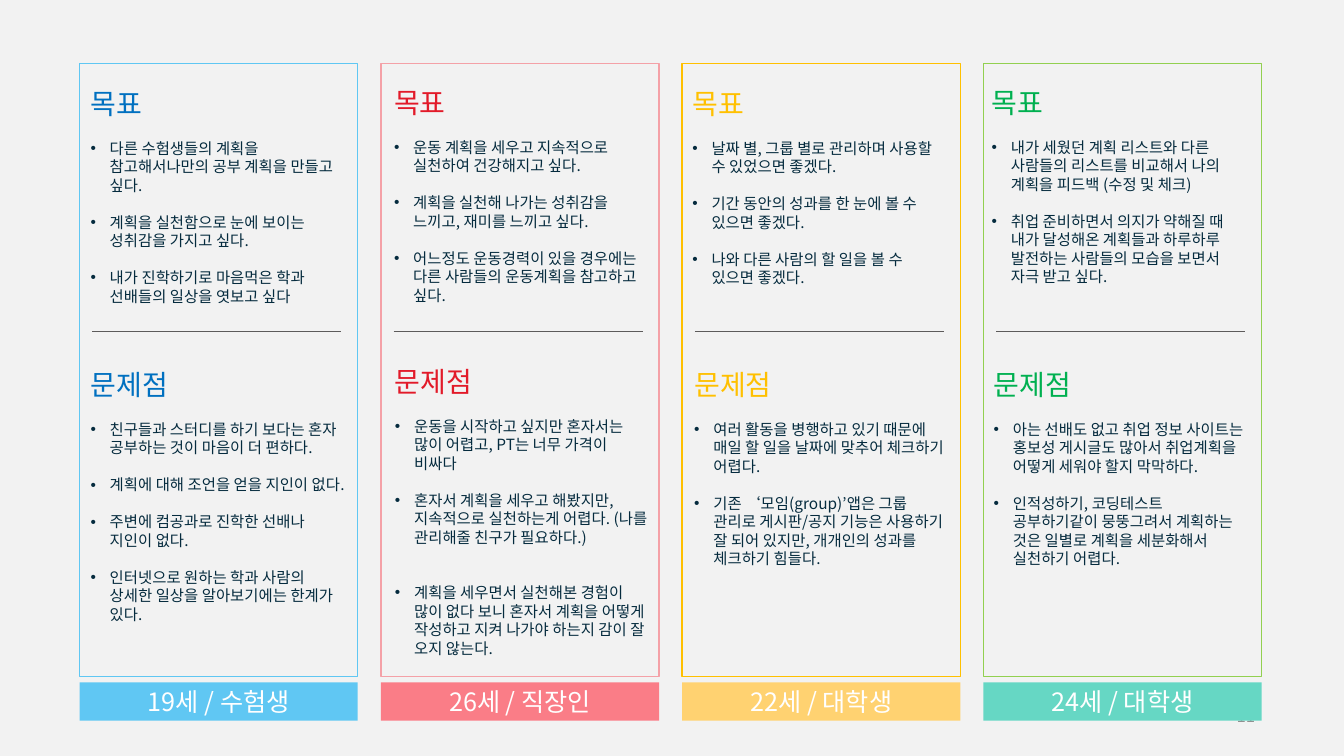
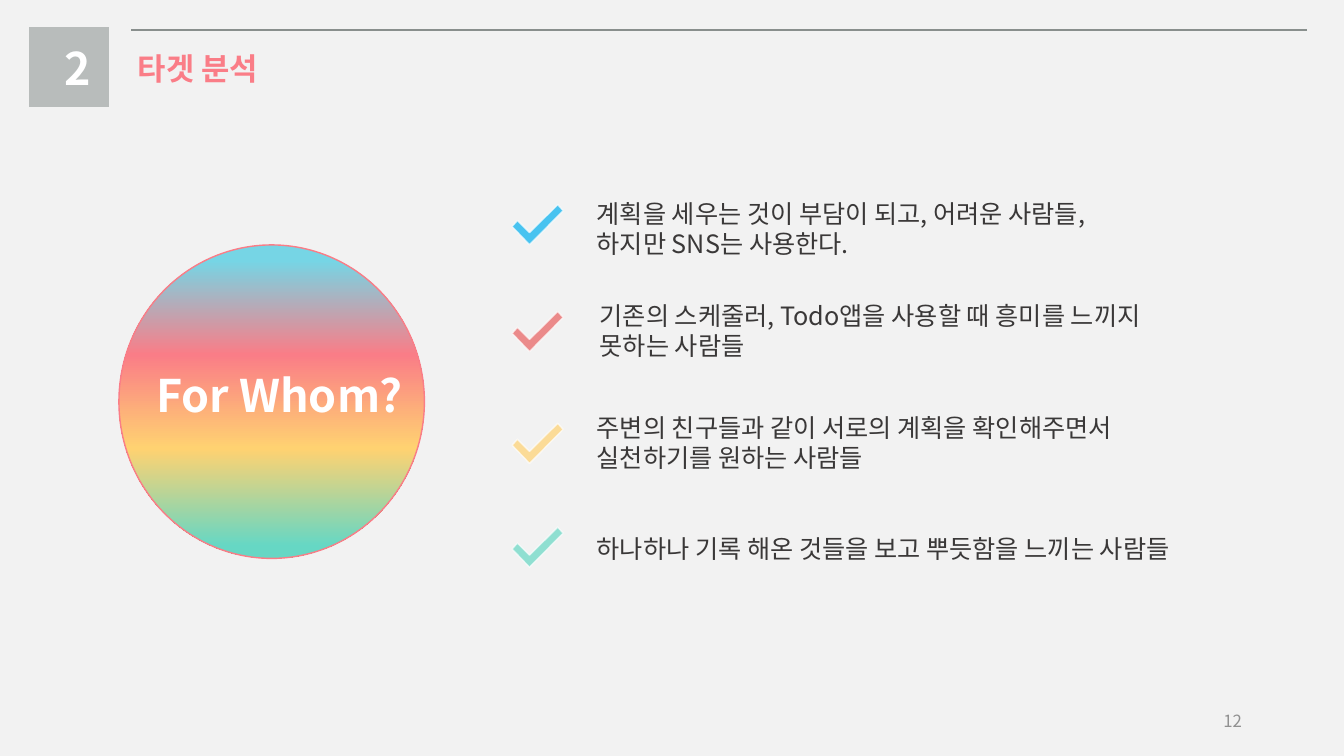
from dataclasses import dataclass

from lxml.etree import SubElement
from pptx import Presentation
from pptx.dml.color import RGBColor
from pptx.enum.shapes import MSO_CONNECTOR, MSO_SHAPE
from pptx.enum.text import MSO_ANCHOR, PP_ALIGN
from pptx.oxml import parse_xml
from pptx.oxml.ns import nsdecls, qn
from pptx.util import Inches, Pt


@dataclass(frozen=True)
class Theme:
    font: str = "Noto Sans CJK KR"
    paper: str = "F2F2F2"
    white: str = "FFFFFF"
    body: str = "052B3E"
    dark: str = "3A3838"
    number: str = "919191"
    divider: str = "5D5B5B"
    rule: str = "898F8D"
    badge: str = "B8BCBB"
    sky: str = "60C7F3"
    coral: str = "FA7D87"
    yellow: str = "FFD271"
    mint: str = "66D7C4"
    tiny: float = 11
    small: float = 12
    large: float = 18
    heading: float = 20
    title: float = 22
    display: float = 32


theme = Theme()
deck = Presentation()
deck.slide_width, deck.slide_height = Inches(13.333), Inches(7.5)


def share(*percents):
    sides = (deck.slide_width, deck.slide_height) * 2
    return [int(side * percent / 100) for side, percent in zip(sides, percents)]


def write(box, lines, size, color, bold=False, align=PP_ALIGN.LEFT, **frame_format):
    frame = box.text_frame
    for name, value in {"word_wrap": True, **frame_format}.items():
        setattr(frame, name, value)
    for index, line in enumerate(lines):
        para = frame.paragraphs[0] if index == 0 else frame.add_paragraph()
        para.alignment = align
        span = para.add_run()
        span.text = line
        for name, value in {"name": theme.font, "size": Pt(size), "bold": bold}.items():
            setattr(span.font, name, value)
        span.font.color.rgb = RGBColor.from_string(color)
        SubElement(span.font._element, qn("a:ea"), typeface=theme.font)
    return frame.paragraphs


personas = [
    {
        "label": "19세 / 수험생", "bar": theme.sky, "frame": theme.sky, "accent": "0070C0",
        "목표": (0.08, 8.8, [
            "다른 수험생들의 계획을 참고해서나만의 공부 계획을 만들고 싶다.",
            "계획을 실천함으로 눈에 보이는 성취감을 가지고 싶다.",
            "내가 진학하기로 마음먹은 학과 선배들의 일상을 엿보고 싶다",
        ]),
        "문제점": (0.08, 46, [
            "친구들과 스터디를 하기 보다는 혼자 공부하는 것이 마음이 더 편하다.",
            "계획에 대해 조언을 얻을 지인이 없다.",
            "주변에 컴공과로 진학한 선배나 지인이 없다.",
            "인터넷으로 원하는 학과 사람의 상세한 일상을 알아보기에는 한계가 있다.",
        ]),
    },
    {
        "label": "26세 / 직장인", "bar": theme.coral, "frame": "F4A1A7", "accent": "E21A29",
        "목표": (0.24, 8.67, [
            "운동 계획을 세우고 지속적으로 실천하여 건강해지고 싶다.",
            "계획을 실천해 나가는 성취감을 느끼고, 재미를 느끼고 싶다.",
            "어느정도 운동경력이 있을 경우에는 다른 사람들의 운동계획을 참고하고 싶다.",
        ]),
        "문제점": (0.31, 45.6, [
            "운동을 시작하고 싶지만 혼자서는 많이 어렵고, PT는 너무 가격이 비싸다",
            "혼자서 계획을 세우고 해봤지만, 지속적으로 실천하는게 어렵다. (나를 관리해줄 친구가 필요하다.)",
            "계획을 세우면서 실천해본 경험이 많이 없다 보니 혼자서 계획을 어떻게 작성하고 지켜 나가야 하는지 감이 잘 오지 않는다.",
        ]),
        "last_gap": 26.4,
    },
    {
        "label": "22세 / 대학생", "bar": theme.yellow, "frame": "FFC000", "accent": "FFC000",
        "목표": (0.02, 8.8, [
            "날짜 별, 그룹 별로 관리하며 사용할 수 있었으면 좋겠다.",
            "기간 동안의 성과를 한 눈에 볼 수 있으면 좋겠다.",
            "나와 다른 사람의 할 일을 볼 수 있으면 좋겠다.",
        ]),
        "문제점": (0.16, 46, [
            "여러 활동을 병행하고 있기 때문에 매일 할 일을 날짜에 맞추어 체크하기 어렵다.",
            "기존 ‘모임(group)’앱은 그룹 관리로 게시판/공지 기능은 사용하기 잘 되어 있지만, 개개인의 성과를 체크하기 힘들다.",
        ]),
    },
    {
        "label": "24세 / 대학생", "bar": theme.mint, "frame": "92D050", "accent": "00B050",
        "목표": (-0.13, 8.67, [
            "내가 세웠던 계획 리스트와 다른 사람들의 리스트를 비교해서 나의 계획을 피드백 (수정 및 체크)",
            "취업 준비하면서 의지가 약해질 때 내가 달성해온 계획들과 하루하루 발전하는 사람들의 모습을 보면서 자극 받고 싶다.",
        ]),
        "문제점": (0.02, 46, [
            "아는 선배도 없고 취업 정보 사이트는 홍보성 게시글도 많아서 취업계획을 어떻게 세워야 할지 막막하다.",
            "인적성하기, 코딩테스트 공부하기같이 뭉뚱그려서 계획하는 것은 일별로 계획을 세분화해서 실천하기 어렵다.",
        ]),
    },
]
first_column, column_step, column_width = 5.92, 22.42, 20.7
columns = [first_column + column_step * index for index in range(len(personas))]
section_heights = {"목표": 33.6, "문제점": 42}
section_margins = {"margin_top": Inches(0.2)}
tight_margins = {f"margin_{side}": Inches(0.05) for side in ("left", "top", "right", "bottom")}
bullet_indent = Inches(0.19)

pages = []
for number, left, top in [("11", 71.63, 92), ("12", 70.65, 92.67)]:
    page = deck.slides.add_slide(deck.slide_layouts[6])
    page.background.fill.solid()
    page.background.fill.fore_color.rgb = RGBColor.from_string(theme.paper)
    box = page.shapes.add_textbox(*share(left, top, 22.5, 5.33))
    write(box, [number], theme.small, theme.number, align=PP_ALIGN.RIGHT,
          vertical_anchor=MSO_ANCHOR.MIDDLE)
    pages.append(page)
persona_page, target_page = pages

rules = [(persona_page, left + 0.95, left + 19.48, 43.87, theme.divider, 0.5) for left in columns]
rules.append((target_page, 9.75, 97.28, 4, theme.rule, 1.5))
for page, left, right, level, color, width in rules:
    rule = page.shapes.add_connector(MSO_CONNECTOR.STRAIGHT, *share(left, level, right, level))
    rule.line.color.rgb = RGBColor.from_string(color)
    rule.line.width = Pt(width)
    SubElement(rule._element.spPr, qn("a:effectLst"))

for left, persona in zip(columns, personas):
    for heading, height in section_heights.items():
        nudge, top, wishes = persona[heading]
        box = persona_page.shapes.add_textbox(*share(left + nudge, top, 20.48, height))
        paras = write(box, [heading, *wishes], theme.tiny, theme.body, **section_margins)
        title = paras[0].runs[0].font
        title.size = Pt(theme.heading)
        title.color.rgb = RGBColor.from_string(persona["accent"])
        for para in paras[1:]:
            para.space_before = Pt(13.2)
            layout = para._p.get_or_add_pPr()
            layout.set("marL", str(bullet_indent))
            layout.set("indent", str(-bullet_indent))
            SubElement(layout, qn("a:buFont"), typeface="Arial")
            SubElement(layout, qn("a:buChar"), char="•")
        if heading == "문제점" and "last_gap" in persona:
            paras[-1].space_before = Pt(persona["last_gap"])

    frame = persona_page.shapes.add_shape(
        MSO_SHAPE.RECTANGLE, *share(left, 8.4, column_width, 81.07))
    frame.shadow.inherit = False
    frame.fill.background()
    frame.line.color.rgb = RGBColor.from_string(persona["frame"])
    frame.line.width = Pt(1)

bars = [(persona_page, (left, 90.27, column_width, 5.07), persona["bar"], persona["label"])
        for left, persona in zip(columns, personas)]
bars.append((target_page, (2.18, 3.6, 5.93, 10.53), theme.badge, ""))
for page, area, color, label in bars:
    bar = page.shapes.add_shape(MSO_SHAPE.RECTANGLE, *share(*area))
    bar.shadow.inherit = False
    bar.fill.solid()
    bar.fill.fore_color.rgb = RGBColor.from_string(color)
    bar.line.fill.background()
    if label:
        write(bar, [label], theme.large, theme.white, align=PP_ALIGN.CENTER,
              vertical_anchor=MSO_ANCHOR.MIDDLE)

circle = target_page.shapes.add_shape(MSO_SHAPE.OVAL, *share(8.85, 32.4, 22.73, 41.47))
circle.shadow.inherit = False
circle.line.color.rgb = RGBColor.from_string(theme.coral)
circle.line.width = Pt(1)
stops = [(5, "76D5E5"), (35, theme.coral), (65, theme.yellow), (96, theme.mint)]
stop_list = "".join(
    f'<a:gs pos="{position * 1000}"><a:srgbClr val="{color}"/></a:gs>' for position, color in stops)
circle._element.spPr.find(qn("a:prstGeom")).addnext(parse_xml(
    f'<a:gradFill {nsdecls("a")} rotWithShape="1"><a:gsLst>{stop_list}</a:gsLst>'
    '<a:lin ang="5400000" scaled="0"/></a:gradFill>'))

captions = [
    ("2", (4.43, 4.67, 3.2, 8), theme.display, theme.white, tight_margins),
    ("For Whom?", (11.25, 48, 21, 8.53), theme.display, theme.white, tight_margins),
    ("타겟 분석", (9.53, 5.87, 20, 6.27), theme.title, theme.coral, {}),
]
for caption, area, size, color, margins in captions:
    box = target_page.shapes.add_textbox(*share(*area))
    write(box, [caption], size, color, bold=True, **margins)

targets = [
    ("00B0F0", 27.07, 44.03, 25.6,
     ["계획을 세우는 것이 부담이 되고, 어려운 사람들,", "하지만 SNS는 사용한다."]),
    ("E95F5E", 41.2, 44.25, 39.07,
     ["기존의 스케줄러, Todo앱을 사용할 때 흥미를 느끼지", "못하는 사람들"]),
    (theme.yellow, 56, 44.03, 53.87,
     ["주변의 친구들과 같이 서로의 계획을 확인해주면서", "실천하기를 원하는 사람들"]),
    (theme.mint, 69.73, 44.03, 69.87,
     ["하나하나 기록 해온 것들을 보고 뿌듯함을 느끼는 사람들"]),
]
check_points = [(34, 0), (13, 37), (4, 21), (0, 29), (13, 53), (38, 8)]
check_scale = (deck.slide_width / 1000, deck.slide_height / 1000)
for color, check_top, text_left, text_top, lines in targets:
    outline = target_page.shapes.build_freeform(*check_points[0], scale=check_scale)
    outline.add_line_segments(check_points[1:], close=True)
    check = outline.convert_to_shape(*share(38.1, check_top))
    check.shadow.inherit = False
    check.fill.solid()
    check.fill.fore_color.rgb = RGBColor.from_string(color)
    check.line.color.rgb = RGBColor.from_string(theme.white)
    check.line.width = Pt(1)
    for tint in check._element.spPr.iter(qn("a:srgbClr")):
        SubElement(tint, qn("a:alpha"), val="70000")
    box = target_page.shapes.add_textbox(*share(text_left, text_top, 48.75, 4.73 * len(lines)))
    write(box, lines, theme.large, theme.dark, **tight_margins)

deck.save("out.pptx")
